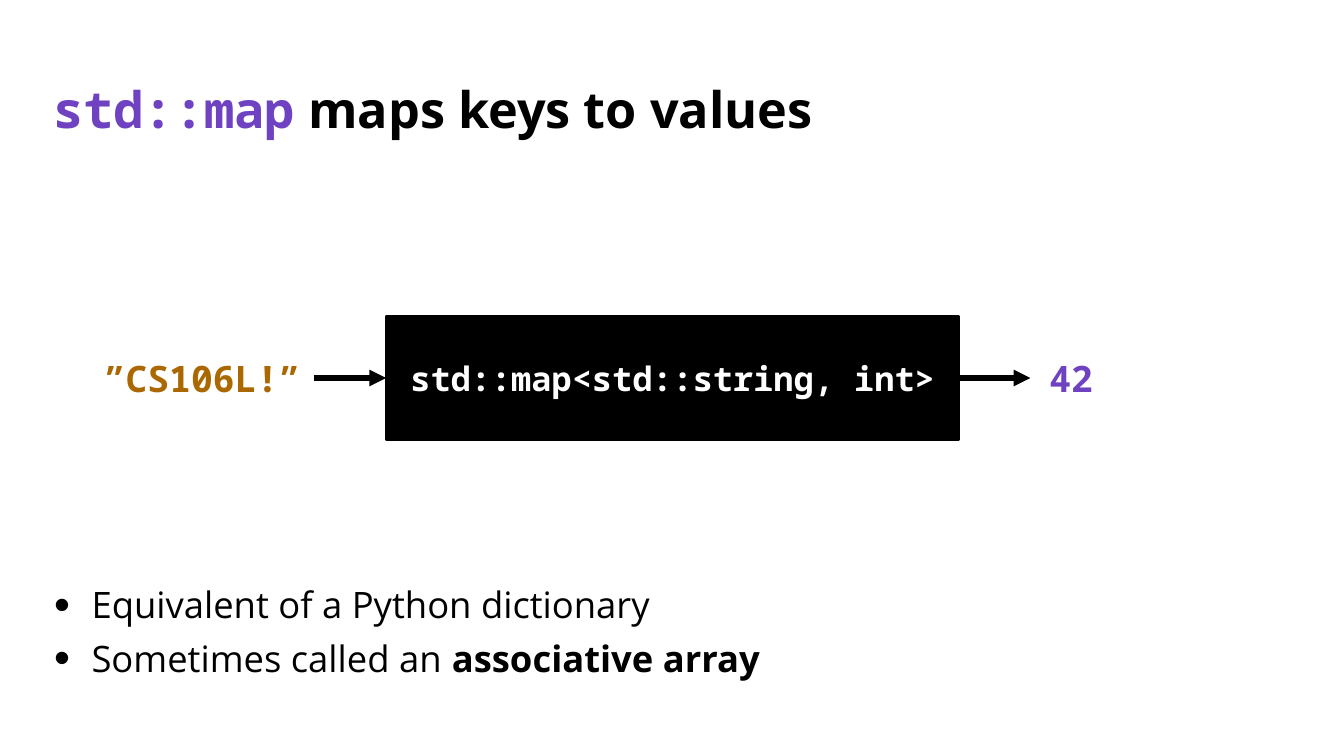
from dataclasses import dataclass

import lxml.etree
import pptx
import pptx.dml.color
import pptx.enum.shapes
import pptx.enum.text
import pptx.oxml.ns
import pptx.util

Inches = pptx.util.Inches
Pt = pptx.util.Pt
Align = pptx.enum.text.PP_ALIGN
Anchor = pptx.enum.text.MSO_ANCHOR

MONO, SANS = "Noto Sans Mono", "Open Sans"
BLACK, WHITE, PURPLE, BROWN = "000000", "FFFFFF", "6F42C1", "AC6800"
MARGIN, CONTENT_WIDTH = 0.43, 12.47
TOP, LEFT, BOTTOM, RIGHT = range(4)


@dataclass
class Piece:
    text: str
    size: float
    font: str = SANS
    color: str = BLACK
    bold: bool = False


@dataclass
class Label:
    left: float
    width: float
    align: Align
    piece: Piece


def rgb(color: str) -> pptx.dml.color.RGBColor:
    return pptx.dml.color.RGBColor.from_string(color)


def add_pieces(paragraph, pieces: list[Piece]) -> None:
    for piece in pieces:
        run = paragraph.add_run()
        run.text = piece.text
        run.font.size = Pt(piece.size)
        run.font.name = piece.font
        run.font.bold = piece.bold
        run.font.color.rgb = rgb(piece.color)


def add_text_box(slide, left: float, top: float, width: float, height: float,
                 wrap: bool = True):
    shape = slide.shapes.add_textbox(
        Inches(left), Inches(top), Inches(width), Inches(height))
    shape.text_frame.word_wrap = wrap
    return shape


def add_label(slide, label: Label):
    shape = add_text_box(slide, label.left, 3.48, label.width, 0.54, wrap=False)
    paragraph = shape.text_frame.paragraphs[0]
    paragraph.alignment = label.align
    add_pieces(paragraph, [label.piece])
    return shape


def add_arrow(slide, source, target) -> None:
    """Join the right side of source to the left side of target."""
    connector = slide.shapes.add_connector(
        pptx.enum.shapes.MSO_CONNECTOR.STRAIGHT, 0, 0, 0, 0)
    connector.begin_connect(source, RIGHT)
    connector.end_connect(target, LEFT)
    connector.line.color.rgb = rgb(BLACK)
    connector.line.width = Pt(4)
    qn = pptx.oxml.ns.qn
    line = connector.line._get_or_add_ln()
    lxml.etree.SubElement(line, qn("a:tailEnd"), type="triangle")
    lxml.etree.SubElement(connector._element.spPr, qn("a:effectLst"))


def add_bullet(paragraph) -> None:
    qn = pptx.oxml.ns.qn
    properties = paragraph._p.get_or_add_pPr()
    properties.set("marL", str(Inches(0.38)))
    properties.set("indent", str(Inches(-0.37)))
    lxml.etree.SubElement(properties, qn("a:buSzPct"), val="125000")
    lxml.etree.SubElement(properties, qn("a:buFont"), typeface="Arial")
    lxml.etree.SubElement(properties, qn("a:buChar"), char="•")


def main() -> None:
    presentation = pptx.Presentation()
    presentation.slide_width = Inches(13.33)
    presentation.slide_height = Inches(7.5)
    slide = presentation.slides.add_slide(presentation.slide_layouts[6])

    # Title
    title = add_text_box(slide, MARGIN, 0.69, CONTENT_WIDTH, 0.84)
    title.text_frame.vertical_anchor = Anchor.MIDDLE
    heading = title.text_frame.paragraphs[0]
    heading.line_spacing = 0.9
    add_pieces(heading, [Piece("std::map", 36, MONO, PURPLE, True),
                         Piece(" maps keys to values", 36, bold=True)])

    # Map box
    map_box = slide.shapes.add_shape(
        pptx.enum.shapes.MSO_SHAPE.RECTANGLE,
        Inches(3.83), Inches(3.14), Inches(5.68), Inches(1.22))
    map_box.shadow.inherit = False
    map_box.fill.solid()
    map_box.fill.fore_color.rgb = rgb(BLACK)
    map_box.line.color.rgb = rgb(BLACK)
    map_box.line.width = Pt(1.5)
    map_box.text_frame.vertical_anchor = Anchor.MIDDLE
    paragraph = map_box.text_frame.paragraphs[0]
    paragraph.alignment = Align.CENTER
    add_pieces(paragraph, [Piece("std::map<std::string, int>", 24, MONO, WHITE, True)])

    # Key and value, with arrows into and out of the map
    key = add_label(slide, Label(
        0.93, 2.18, Align.LEFT, Piece("”CS106L!”", 26, MONO, BROWN, True)))
    value = add_label(slide, Label(
        10.22, 0.72, Align.RIGHT, Piece("42", 26, MONO, PURPLE, True)))
    add_arrow(slide, key, map_box)
    add_arrow(slide, map_box, value)

    # Bullets
    bullets = [
        [Piece("Equivalent of a Python dictionary", 26)],
        [Piece("Sometimes called an ", 26), Piece("associative array", 26, bold=True)],
    ]
    text_frame = add_text_box(slide, MARGIN, 5.78, CONTENT_WIDTH, 1.03).text_frame
    for index, pieces in enumerate(bullets):
        paragraph = text_frame.add_paragraph() if index else text_frame.paragraphs[0]
        add_bullet(paragraph)
        paragraph.line_spacing = 0.9
        paragraph.space_before = Pt(10 if index else 0)
        add_pieces(paragraph, pieces)

    presentation.save("out.pptx")


if __name__ == "__main__":
    main()
